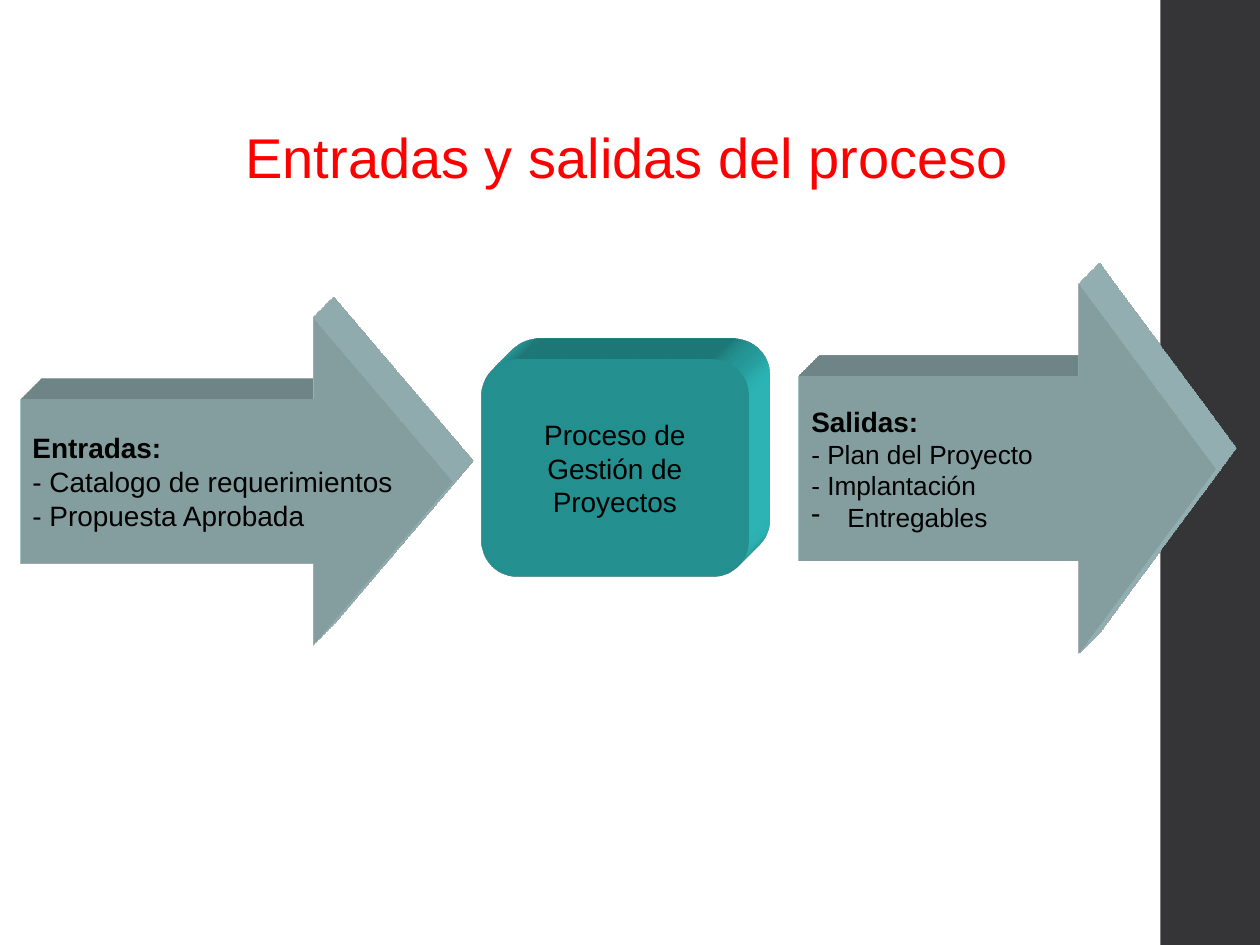
from lxml.etree import fromstring
from pptx import Presentation
from pptx.dml.color import RGBColor
from pptx.enum.shapes import MSO_SHAPE
from pptx.enum.text import MSO_ANCHOR, PP_ALIGN
from pptx.oxml.ns import qn
from pptx.util import Inches, Pt

BLACK = RGBColor(0x00, 0x00, 0x00)
RED = RGBColor(0xFF, 0x00, 0x00)
DARK = RGBColor(0x35, 0x35, 0x37)
PALE = RGBColor(0xBB, 0xE0, 0xE3)
TEAL = RGBColor(0x33, 0xCC, 0xCC)
DEPTH = """<a:spPr xmlns:a="http://schemas.openxmlformats.org/drawingml/2006/main">
<a:scene3d><a:camera prst="legacyObliqueTopRight"/><a:lightRig rig="legacyFlat3" dir="b"/></a:scene3d>
<a:sp3d extrusionH="430200" prstMaterial="legacyMatte">
<a:bevelT w="13500" h="13500" prst="angle"/><a:bevelB w="13500" h="13500" prst="angle"/>
<a:extrusionClr><a:srgbClr val="{}"/></a:extrusionClr></a:sp3d></a:spPr>"""

deck = Presentation()
deck.slide_width = Inches(10)
deck.slide_height = Inches(7.5)
slide = deck.slides.add_slide(deck.slide_layouts[6])


def add_block(kind, box, color):
    shape = slide.shapes.add_shape(kind, *[Inches(n) for n in box])
    shape.shadow.inherit = False
    shape.fill.solid()
    shape.fill.fore_color.rgb = color
    shape.line.fill.background()
    return shape


def add_run(para, text, size, color=BLACK, bold=False):
    run = para.add_run()
    run.text = text
    run.font.name = "Arial"
    run.font.size = Pt(size)
    run.font.bold = bold
    run.font.color.rgb = color


add_block(MSO_SHAPE.RECTANGLE, (9.21, 0, 0.79, 7.5), DARK)

title = slide.shapes.add_textbox(Inches(1.85), Inches(0.92), Inches(6.8), Inches(0.64))
title.text_frame.word_wrap = True
add_run(title.text_frame.paragraphs[0], "Entradas y salidas del proceso", 32, RED)

flow = [
    (MSO_SHAPE.RIGHT_ARROW, (0.16, 2.52, 3.43, 2.6), (0.5, 0.427), PALE, "Entradas:", 16,
     ["- Catalogo de requerimientos", "- Propuesta Aprobada"]),
    (MSO_SHAPE.ROUNDED_RECTANGLE, (3.82, 2.85, 2.12, 1.73), (0.167,), TEAL, "", 16,
     ["Proceso de Gestión de Proyectos"]),
    (MSO_SHAPE.RIGHT_ARROW, (6.34, 2.25, 3.31, 2.94), (0.5, 0.37), PALE, "Salidas:", 15,
     ["- Plan del Proyecto", "- Implantación", " Entregables"]),
]
for kind, box, bends, color, head, size, lines in flow:
    shape = add_block(kind, box, color)
    for i, bend in enumerate(bends):
        shape.adjustments[i] = bend
    for node in list(fromstring(DEPTH.format(color))):
        shape._element.spPr.append(node)
    frame = shape.text_frame
    frame.vertical_anchor = MSO_ANCHOR.MIDDLE
    frame.word_wrap = not head
    for i, line in enumerate(lines):
        para = frame.add_paragraph() if i else frame.paragraphs[0]
        para.alignment = PP_ALIGN.LEFT if head else PP_ALIGN.CENTER
        if head and i == 0:
            add_run(para, head, 16, bold=True)
            para.add_line_break()
        add_run(para, line, size)

props = para._p.get_or_add_pPr()
props.set("marL", str(Inches(0.23)))
props.set("indent", str(-Inches(0.23)))
mark = props.makeelement(qn("a:buChar"), {"char": "-"})
props.append(mark)

deck.save("out.pptx")
